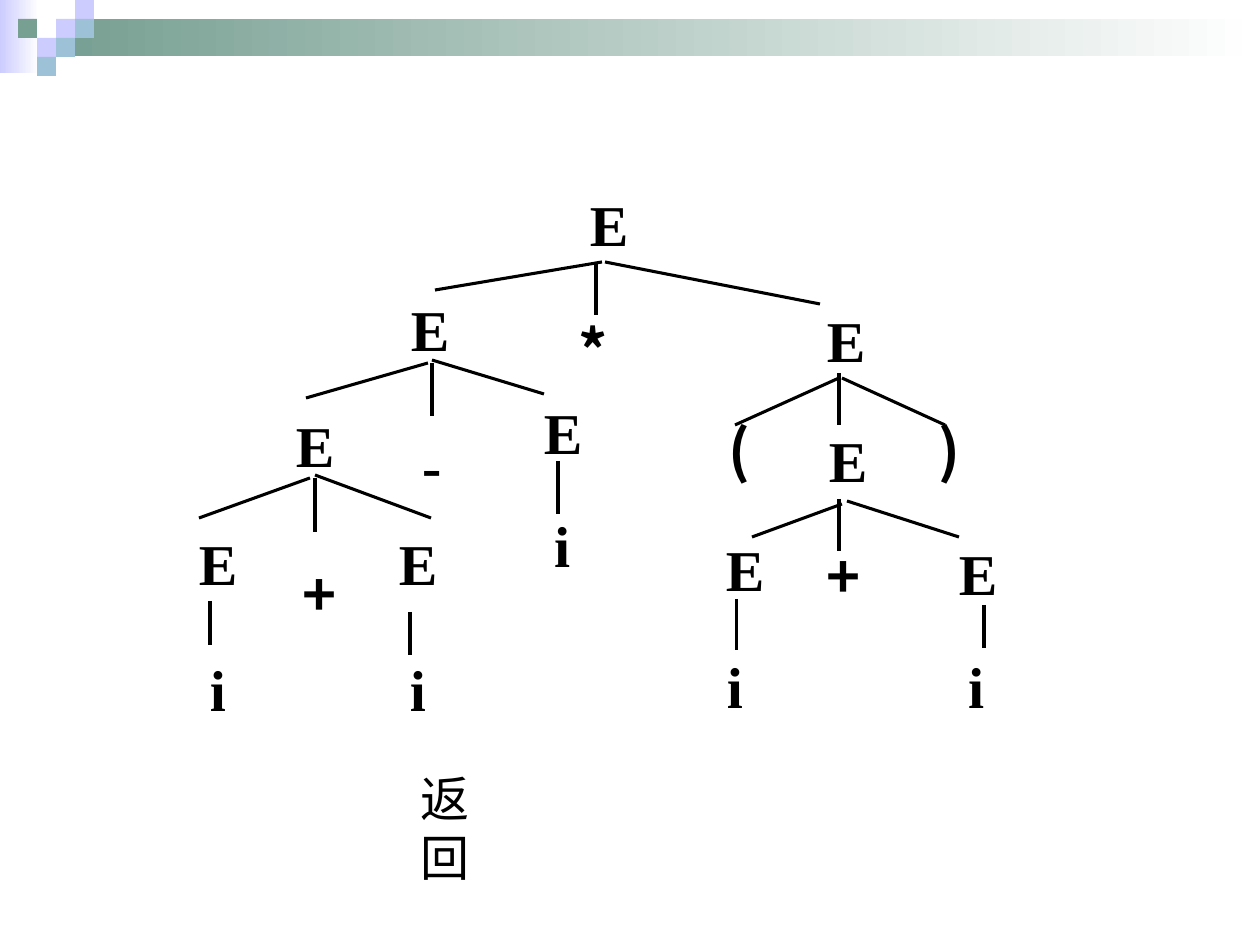
from lxml.etree import SubElement
from pptx import Presentation
from pptx.dml.color import RGBColor
from pptx.enum.shapes import MSO_CONNECTOR as CONNECTOR, MSO_SHAPE as SHAPE
from pptx.enum.text import MSO_AUTO_SIZE as AUTO_SIZE
from pptx.oxml.ns import qn
from pptx.util import Emu, Inches, Pt

SERIF, SANS = "Times New Roman", "Noto Sans CJK SC"


def px(*lengths):
    return [Emu(round(length * 914400 / 126)) for length in lengths]


def color(hex_value):
    return RGBColor.from_string(hex_value)


presentation = Presentation()
presentation.slide_width, presentation.slide_height = Inches(10), Inches(7.5)
slide = presentation.slides.add_slide(presentation.slide_layouts[6])
shapes = slide.shapes

# Header bands fading to white on the right
for box, band_color in [((0, 0, 39, 73), "CCCCFF"),
                        ((57, 19, 1203, 37), "779F92")]:
    band = shapes.add_shape(SHAPE.RECTANGLE, *px(*box))
    band.shadow.inherit = False
    band.line.fill.background()
    band.fill.gradient()
    band.fill.gradient_angle = 0
    for stop, stop_color in zip(band.fill.gradient_stops, (band_color, "FFFFFF")):
        stop.color.rgb = color(stop_color)

# Header squares: column, row, colour on a 19 px grid
for column, row, square_color in [(3, 1, "CCCCFF"), (4, 0, "CCCCFF"),
                                  (4, 1, "9DC2D7"), (2, 2, "CCCCFF"),
                                  (1, 1, "779F92"), (3, 2, "9DC2D7"),
                                  (2, 3, "9DC2D7")]:
    square = shapes.add_shape(SHAPE.RECTANGLE,
                              *px(column * 19 - 1, row * 19, 19, 19))
    square.shadow.inherit = False
    square.line.fill.background()
    square.fill.solid()
    square.fill.fore_color.rgb = color(square_color)

# Tree branches: from x, y to x, y
branches = [
    (602, 262, 435, 290), (596, 262, 596, 315), (605, 262, 820, 304),
    (428, 363, 306, 398), (432, 363, 432, 416), (432, 360, 544, 394),
    (310, 478, 199, 518), (315, 478, 315, 532), (315, 475, 431, 518),
    (839, 378, 735, 425), (839, 373, 839, 425), (842, 378, 945, 425),
    (842, 504, 752, 537), (839, 499, 839, 551), (847, 501, 959, 537),
    (210, 601, 210, 645), (410, 612, 410, 655), (558, 461, 558, 514),
    (737, 599, 737, 650), (984, 605, 984, 648),
]
for ends in branches:
    branch = shapes.add_connector(CONNECTOR.STRAIGHT, *px(*ends))
    branch.line.color.rgb = color("000000")
    branch.line.width = Pt(1.75)
    SubElement(branch._element.spPr, qn("a:effectLst"))

# Tree symbols: width, font, and the left and top of each use
symbols = {
    "E": (39, SERIF, [(590, 189), (411, 294), (827, 305), (296, 410),
                      (544, 397), (829, 425), (199, 528), (399, 528),
                      (726, 534), (959, 538)]),
    "i": (16, SERIF, [(210, 654), (410, 654), (554, 510), (727, 651),
                      (968, 651)]),
    "-": (19, SERIF, [(422, 430)]),
    "*": (32, SANS, [(578, 315)]),
    "+": (33, SANS, [(302, 559), (827, 541)]),
    "(": (20, SANS, [(728, 415)]),
    ")": (20, SANS, [(939, 415)]),
}
symbol_format = {"size": Pt(33), "bold": True}
labels = [(text, (left, top, width, 69), (0, 0), {**symbol_format, "name": font_name})
          for text, (width, font_name, places) in symbols.items()
          for left, top in places]

# Return label below the tree
labels.append(("返回", (408, 762, 122, 72), (Inches(0.1), Inches(0.05)),
               {"size": Pt(28), "name": SERIF}))

for text, box, (side_margin, end_margin), font_format in labels:
    label = shapes.add_textbox(*px(*box))
    frame = label.text_frame
    frame.margin_left = frame.margin_right = side_margin
    frame.margin_top = frame.margin_bottom = end_margin
    frame.word_wrap = False
    frame.auto_size = AUTO_SIZE.SHAPE_TO_FIT_TEXT
    run = frame.paragraphs[0].add_run()
    run.text = text
    run.font.color.rgb = color("000000")
    for attribute, value in font_format.items():
        setattr(run.font, attribute, value)
    SubElement(run.font._element, qn("a:ea"), typeface=SANS)

presentation.save("out.pptx")
